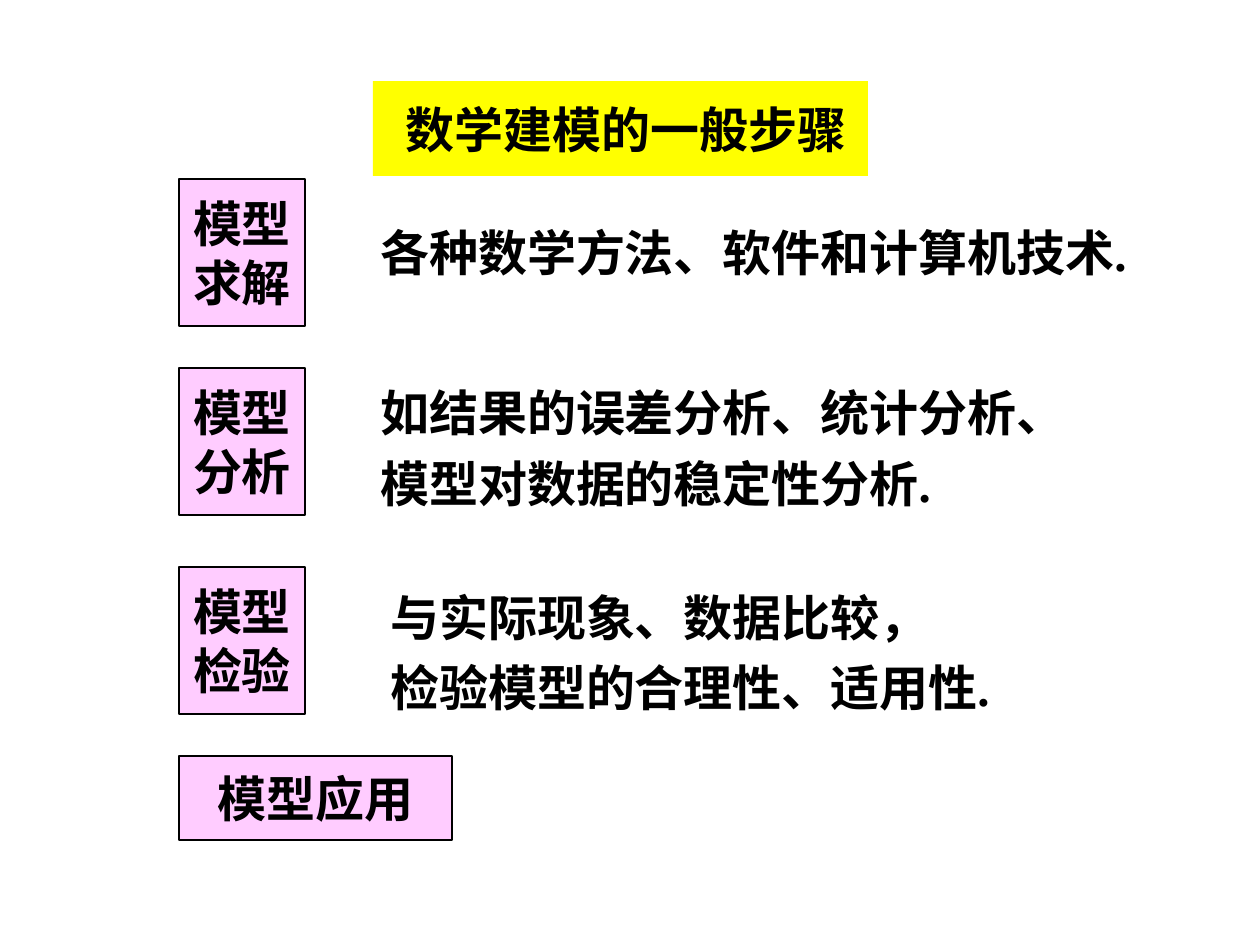
from pptx import Presentation
from pptx.dml.color import RGBColor
from pptx.enum.shapes import MSO_SHAPE
from pptx.enum.text import MSO_ANCHOR, MSO_AUTO_SIZE, PP_ALIGN
from pptx.oxml.ns import qn
from pptx.util import Emu, Pt
from lxml.etree import SubElement

PX = 914400 / 126
BLACK = RGBColor(0x00, 0x00, 0x00)
PINK = RGBColor(0xFF, 0xCC, 0xFF)
YELLOW = RGBColor(0xFF, 0xFF, 0x00)
LATIN_FONT = "Times New Roman"
CHINESE_FONT = "Noto Sans CJK SC"

STEP_LEFT = 179
STEP_SIZE = (126, 147)
# Step lines, step top, explanation lines, explanation box, line spacing
STEPS = [
    (["模型", "求解"], 179, ["各种数学方法、软件和计算机技术."],
     (368, 210, 766, 84), 1.0),
    (["模型", "分析"], 368, ["如结果的误差分析、统计分析、", "模型对数据的稳定性分析."],
     (368, 368, 756, 147), 1.2),
    (["模型", "检验"], 567, ["与实际现象、数据比较，", "检验模型的合理性、适用性."],
     (378, 567, 746, 158), 1.2),
]


def px(*lengths):
    return [Emu(round(length * PX)) for length in lengths]


def write_lines(frame, lines, align, spacing=1.0, latin=LATIN_FONT):
    frame.word_wrap = False
    frame.auto_size = MSO_AUTO_SIZE.NONE
    frame.vertical_anchor = MSO_ANCHOR.MIDDLE
    for index, line in enumerate(lines):
        paragraph = frame.add_paragraph() if index else frame.paragraphs[0]
        paragraph.alignment = align
        paragraph.line_spacing = spacing
        run = paragraph.add_run()
        run.text = line
        run.font.size = Pt(28)
        run.font.bold = True
        run.font.name = latin
        run.font.color.rgb = BLACK
        SubElement(run.font._element, qn("a:ea")).set("typeface", CHINESE_FONT)


def add_heading(slide, text, box):
    heading = slide.shapes.title
    heading.left, heading.top, heading.width, heading.height = px(*box)
    heading.fill.solid()
    heading.fill.fore_color.rgb = YELLOW
    write_lines(heading.text_frame, [text], PP_ALIGN.CENTER, latin=CHINESE_FONT)


def add_step(slide, lines, box):
    step = slide.shapes.add_shape(MSO_SHAPE.RECTANGLE, *px(*box))
    step.shadow.inherit = False
    step.fill.solid()
    step.fill.fore_color.rgb = PINK
    step.line.color.rgb = BLACK
    step.line.width = Pt(0.75)
    write_lines(step.text_frame, lines, PP_ALIGN.CENTER)


def add_explanation(slide, lines, box, spacing):
    explanation = slide.shapes.add_textbox(*px(*box))
    write_lines(explanation.text_frame, lines, PP_ALIGN.LEFT, spacing)


def main():
    deck = Presentation()
    deck.slide_width, deck.slide_height = px(1260, 945)
    slide = deck.slides.add_slide(deck.slide_layouts[5])

    add_heading(slide, " 数学建模的一般步骤", (373, 81, 495, 95))
    for step, top, explanation, box, spacing in STEPS:
        add_step(slide, step, (STEP_LEFT, top, *STEP_SIZE))
        add_explanation(slide, explanation, box, spacing)
    add_step(slide, ["模型应用"], (STEP_LEFT, 756, 273, 84))

    deck.save("out.pptx")


if __name__ == "__main__":
    main()
